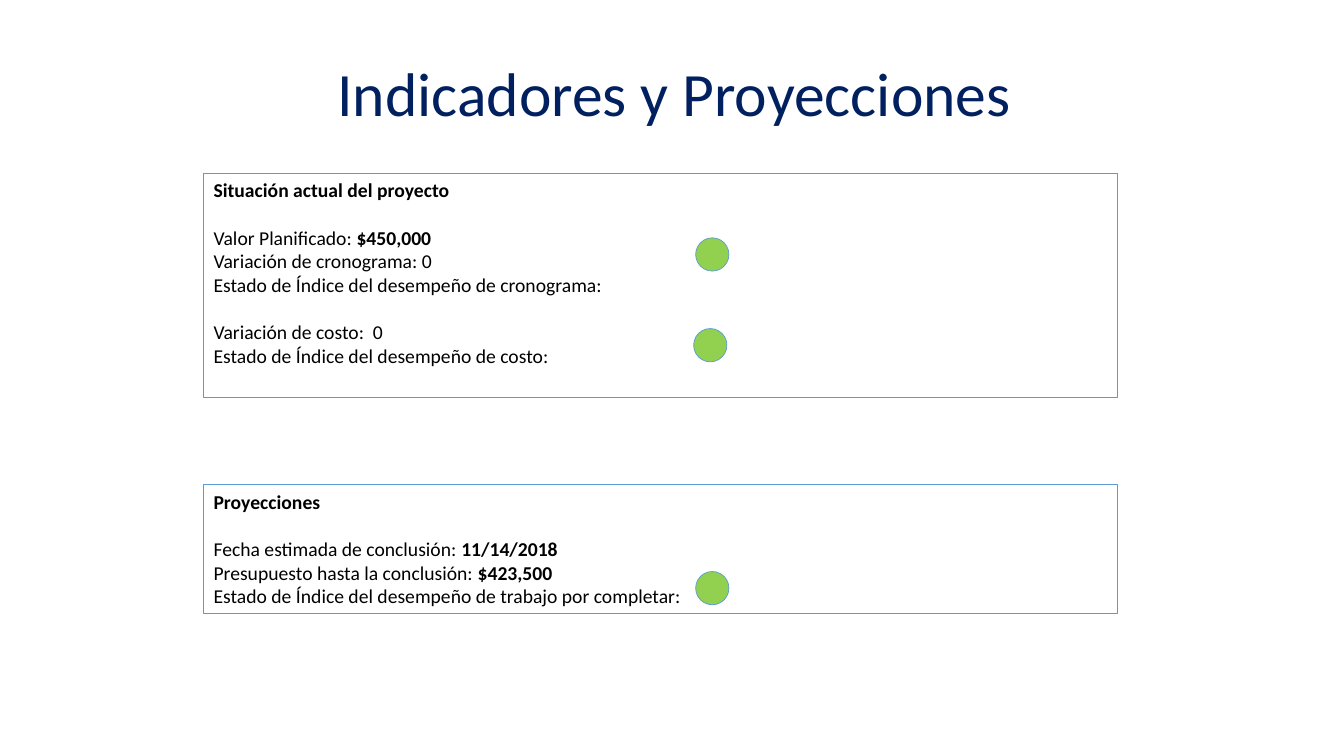
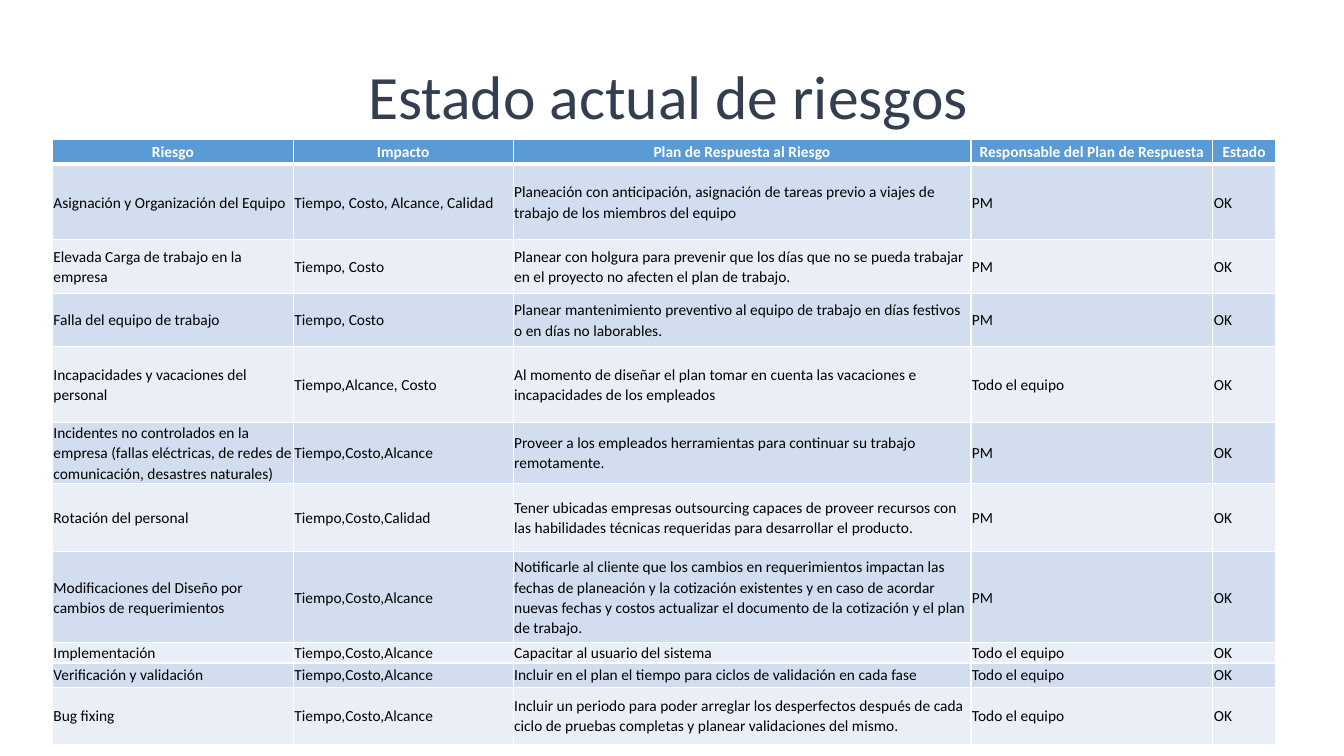
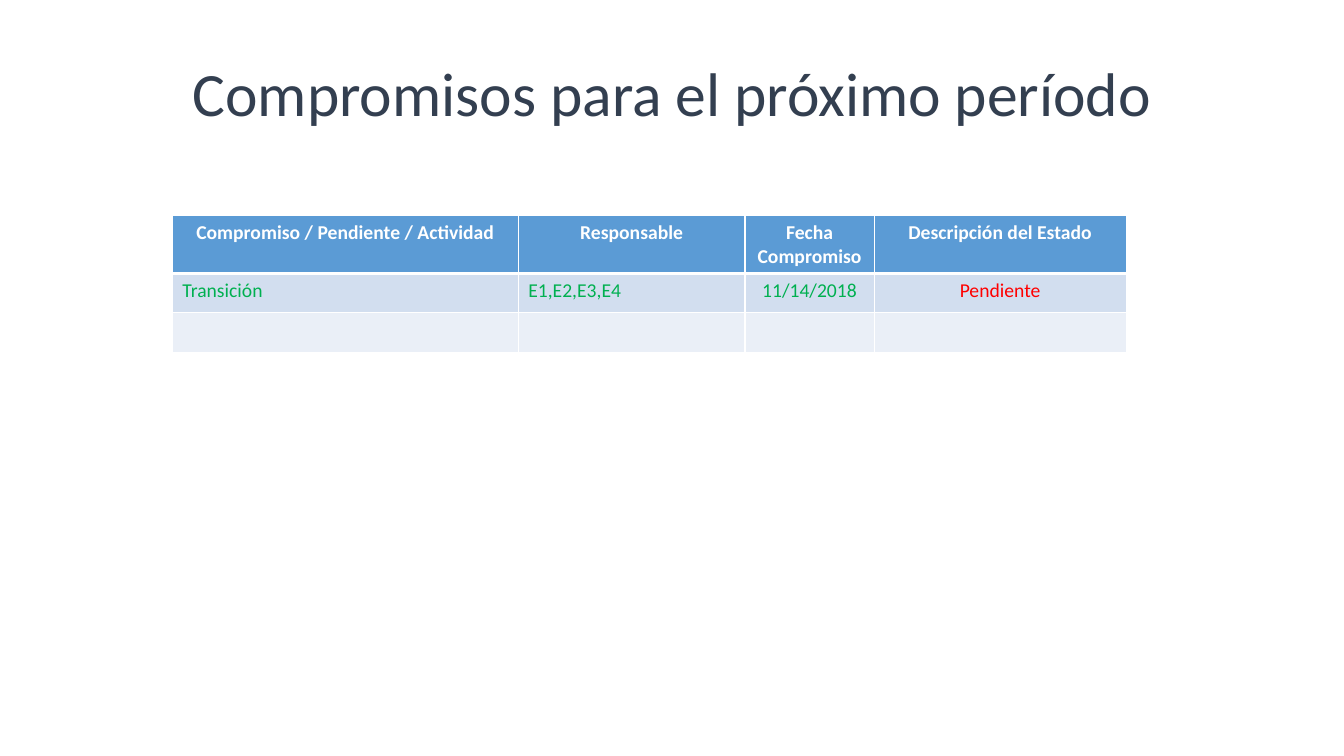
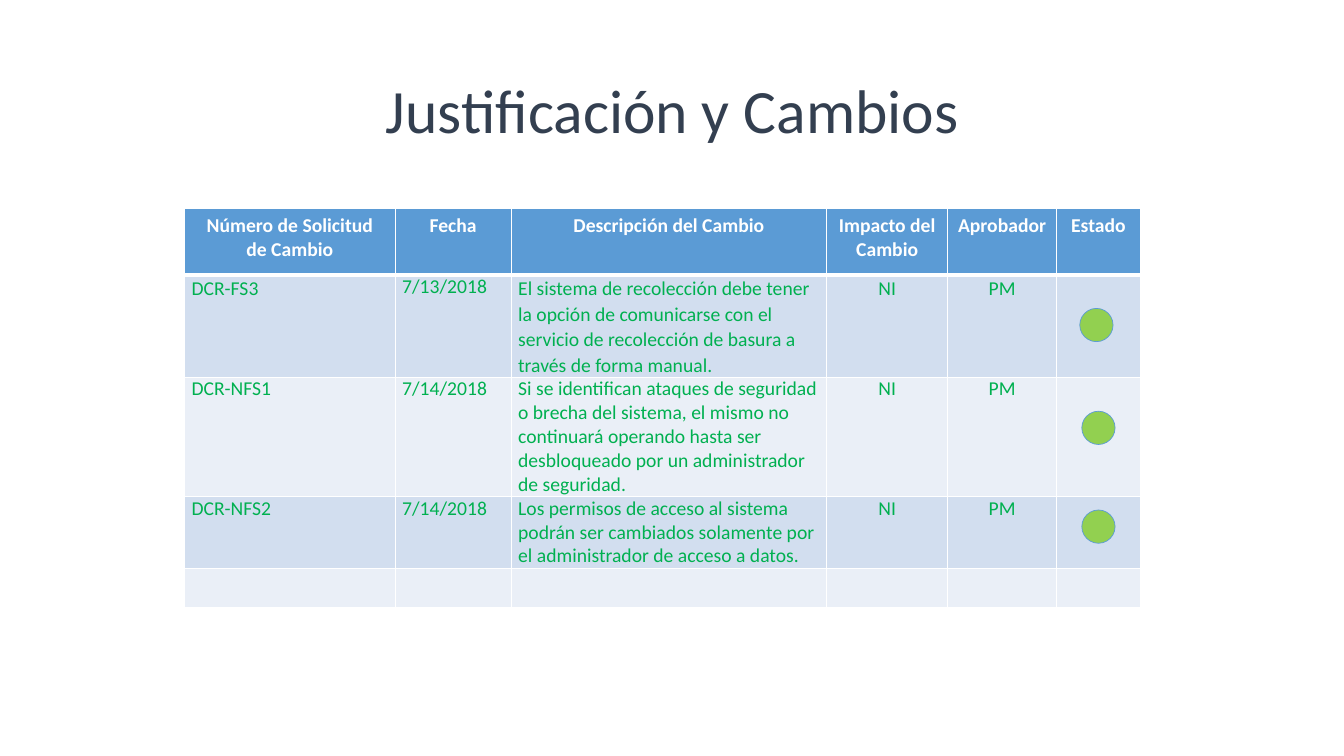
from dataclasses import dataclass

from lxml import etree
from pptx import Presentation
from pptx.dml.color import RGBColor
from pptx.enum.shapes import MSO_SHAPE as Shape
from pptx.enum.text import MSO_ANCHOR as Anchor, MSO_AUTO_SIZE as AutoSize, PP_ALIGN as Align
from pptx.oxml.ns import qn
from pptx.util import Inches, Pt


@dataclass(frozen=True)
class Theme:
    font: str = "Calibri"
    navy: str = "002060"
    slate: str = "333F50"
    blue: str = "5B9BD5"
    bands: tuple = ("D2DEEF", "EAEFF7")
    white: str = "FFFFFF"
    black: str = "000000"
    done: str = "00B050"
    pending: str = "FF0000"
    light_green: str = "92D050"
    title_size: int = 44
    body_size: int = 14
    small_size: int = 11
    blank_line: int = 17
    dot: float = 0.33


THEME = Theme()
LEFT, CENTER = Align.LEFT, Align.CENTER

SITUATION = [
    ("Valor Planificado: ", "$450,000", True),
    ("Variación de cronograma: 0", "", False),
    ("Estado de Índice del desempeño de cronograma:", "", False),
    ("Variación de costo:  0", "", True),
    ("Estado de Índice del desempeño de costo:", "", False),
]
PROJECTIONS = [
    ("Fecha estimada de conclusión: ", "11/14/2018", True),
    ("Presupuesto hasta la conclusión: ", "$423,500", False),
    ("Estado de Índice del desempeño de trabajo por completar:", "", False),
]
RISKS = [
    ["Riesgo", "Impacto", "Plan de Respuesta al Riesgo", "Responsable del Plan de Respuesta", "Estado"],
    ["Asignación y Organización del Equipo", "Tiempo, Costo, Alcance, Calidad",
     "Planeación con anticipación, asignación de tareas previo a viajes de trabajo de los miembros del equipo",
     "PM", "OK"],
    ["Elevada Carga de trabajo en la empresa", "Tiempo, Costo",
     "Planear con holgura para prevenir que los días que no se pueda trabajar en el proyecto "
     "no afecten el plan de trabajo.", "PM", "OK"],
    ["Falla del equipo de trabajo", "Tiempo, Costo",
     "Planear mantenimiento preventivo al equipo de trabajo en días festivos o en días no laborables.",
     "PM", "OK"],
    ["Incapacidades y vacaciones del personal", "Tiempo,Alcance, Costo",
     "Al momento de diseñar el plan tomar en cuenta las vacaciones e incapacidades de los empleados",
     "Todo el equipo", "OK"],
    ["Incidentes no controlados en la empresa (fallas eléctricas, de redes de comunicación, "
     "desastres naturales)", "Tiempo,Costo,Alcance",
     "Proveer a los empleados herramientas para continuar su trabajo remotamente.", "PM", "OK"],
    ["Rotación del personal", "Tiempo,Costo,Calidad",
     "Tener ubicadas empresas outsourcing capaces de proveer recursos con las habilidades técnicas "
     "requeridas para desarrollar el producto.", "PM", "OK"],
    ["Modificaciones del Diseño por cambios de requerimientos", "Tiempo,Costo,Alcance",
     "Notificarle al cliente que los cambios en requerimientos impactan las fechas de planeación y la "
     "cotización existentes y en caso de acordar nuevas fechas y costos actualizar el documento de la "
     "cotización y el plan de trabajo.", "PM", "OK"],
    ["Implementación", "Tiempo,Costo,Alcance", "Capacitar al usuario del sistema", "Todo el equipo", "OK"],
    ["Verificación y validación", "Tiempo,Costo,Alcance",
     "Incluir en el plan el tiempo para ciclos de validación en cada fase", "Todo el equipo", "OK"],
    ["Bug fixing", "Tiempo,Costo,Alcance",
     "Incluir un periodo para poder arreglar los desperfectos después de cada ciclo de pruebas completas "
     "y planear validaciones del mismo.", "Todo el equipo", "OK"],
]
COMMITMENTS = [
    ["Compromiso / Pendiente / Actividad", "Responsable", "Fecha Compromiso", "Descripción del Estado"],
    ["Transición", "E1,E2,E3,E4", "11/14/2018", "Pendiente"],
    [""] * 4,
]
CHANGES = [
    ["Número de Solicitud de Cambio", "Fecha", "Descripción del Cambio", "Impacto del Cambio",
     "Aprobador", "Estado"],
    ["DCR-FS3", "7/13/2018",
     "El sistema de recolección debe tener la opción de comunicarse con el servicio de recolección "
     "de basura a través de forma manual.", "NI", "PM", ""],
    ["DCR-NFS1", "7/14/2018",
     "Si se identifican ataques de seguridad o brecha del sistema, el mismo no continuará operando "
     "hasta ser desbloqueado por un administrador de seguridad.", "NI", "PM", ""],
    ["DCR-NFS2", "7/14/2018",
     "Los permisos de acceso al sistema podrán ser cambiados solamente por el administrador de acceso "
     "a datos.", "NI", "PM", ""],
    [""] * 6,
]


def rgb(color):
    return RGBColor.from_string(color)


def write(paragraph, text, size=THEME.body_size, color=THEME.black, bold=False, align=LEFT,
          line_spacing=None, space_before=0):
    paragraph.alignment = align
    paragraph.space_before = Pt(space_before)
    if line_spacing:
        paragraph.line_spacing = line_spacing
    if not text:
        etree.SubElement(paragraph._p, qn("a:endParaRPr"), sz=str(size * 100))
        return
    run = paragraph.add_run()
    run.text = text
    run.font.name = THEME.font
    run.font.size = Pt(size)
    run.font.bold = bold
    run.font.color.rgb = rgb(color)


def add_titled_slide(deck, title, left, top, color=THEME.slate, bottom_inset=0.05):
    slide = deck.slides.add_slide(deck.slide_layouts[5])
    heading = slide.shapes.title
    heading.left, heading.top = Inches(left), Inches(top)
    heading.width, heading.height = Inches(11.5), Inches(1.45)
    frame = heading.text_frame
    frame.auto_size = AutoSize.NONE
    frame.word_wrap = True
    frame.vertical_anchor = Anchor.MIDDLE
    frame.margin_bottom = Inches(bottom_inset)
    write(frame.paragraphs[0], title, size=THEME.title_size, color=color, align=CENTER, line_spacing=0.9)
    return slide


def add_outlined(slide, kind, left, top, width, height, line_width):
    shape = slide.shapes.add_shape(kind, Inches(left), Inches(top), Inches(width), Inches(height))
    shape.shadow.inherit = False
    shape.fill.background()
    shape.line.color.rgb = rgb(THEME.blue)
    shape.line.width = Pt(line_width)
    return shape


def add_status_dots(slide, places):
    for left, top in places:
        dot = add_outlined(slide, Shape.OVAL, left, top, THEME.dot, THEME.dot, 0.5)
        dot.fill.solid()
        dot.fill.fore_color.rgb = rgb(THEME.light_green)


def add_summary_box(slide, top, height, heading, entries):
    frame = add_outlined(slide, Shape.RECTANGLE, 2.02, top, 9.06, height, 0.75).text_frame
    frame.word_wrap = True
    frame.vertical_anchor = Anchor.TOP
    write(frame.paragraphs[0], heading, bold=True)
    for label, value, starts_group in entries:
        paragraph = frame.add_paragraph()
        gap = THEME.blank_line if starts_group else 0
        write(paragraph, label, space_before=gap)
        if value:
            write(paragraph, value, bold=True, space_before=gap)


def set_borders(cell, top=1, bottom=1):
    properties = cell._tc.get_or_add_tcPr()
    for side, width in (("L", 1), ("R", 1), ("T", top), ("B", bottom)):
        border = etree.SubElement(properties, qn(f"a:ln{side}"), w=str(Pt(width)))
        fill = etree.SubElement(border, qn("a:solidFill"))
        etree.SubElement(fill, qn("a:srgbClr"), val=THEME.white)


def set_insets(cell, horizontal, vertical):
    cell.margin_left = cell.margin_right = Inches(horizontal)
    cell.margin_top = cell.margin_bottom = Inches(vertical)


def add_banded_table(slide, left, top, widths, heights, rows, aligns, size=THEME.body_size,
                     color=THEME.done, header_insets=(0.1, 0.05), insets=(0.1, 0.05),
                     anchor=Anchor.TOP, line_spacing=None, overrides=None):
    table = slide.shapes.add_table(len(rows), len(widths), Inches(left), Inches(top),
                                   Inches(sum(widths)), Inches(sum(heights))).table
    table.horz_banding = False
    for column, width in zip(table.columns, widths):
        column.width = Inches(width)
    for r, (row, height) in enumerate(zip(rows, heights)):
        table.rows[r].height = Inches(height)
        header = r == 0
        for c, text in enumerate(row):
            cell = table.cell(r, c)
            set_borders(cell, top=3 if r == 1 else 1, bottom=3 if header else 1)
            cell.fill.solid()
            cell.fill.fore_color.rgb = rgb(THEME.blue if header else THEME.bands[(r - 1) % 2])
            cell.vertical_anchor = anchor
            set_insets(cell, *(header_insets if header else insets))
            style = dict(size=size, color=THEME.white if header else color, bold=header,
                         align=CENTER if header else aligns[c], line_spacing=line_spacing)
            style.update((overrides or {}).get((r, c), {}))
            write(cell.text_frame.paragraphs[0], text, **style)


def add_indicators(deck):
    slide = add_titled_slide(deck, "Indicadores y Proyecciones", 0.94, 0.23, color=THEME.navy)
    add_summary_box(slide, 1.72, 2.22, "Situación actual del proyecto", SITUATION)
    add_summary_box(slide, 4.81, 1.28, "Proyecciones", PROJECTIONS)
    add_status_dots(slide, [(6.9, 2.36), (6.88, 3.26), (6.9, 5.67)])


def add_risks(deck):
    slide = add_titled_slide(deck, "Estado actual de riesgos", 0.88, 0.26)
    add_banded_table(slide, 0.52, 1.38, [2.39, 2.18, 4.54, 2.4, 0.62],
                     [0.25, 0.75, 0.53, 0.53, 0.75, 0.49, 0.68, 0.9, 0.16, 0.24, 0.57],
                     RISKS, [LEFT] * 5, size=THEME.small_size, color=THEME.black,
                     header_insets=(0.01, 0), insets=(0.01, 0), anchor=Anchor.MIDDLE, line_spacing=1.07)


def add_commitments(deck):
    slide = add_titled_slide(deck, "Compromisos para el próximo período", 0.92, 0.4, bottom_inset=0.38)
    add_banded_table(slide, 1.71, 2.14, [3.43, 2.25, 1.28, 2.5], [0.39] * 3, COMMITMENTS,
                     [LEFT, LEFT, CENTER, CENTER], overrides={(1, 3): {"color": THEME.pending}})


def add_changes(deck):
    slide = add_titled_slide(deck, "Justificación y Cambios", 0.92, 0.4)
    add_banded_table(slide, 1.83, 2.07, [2.09, 1.15, 3.13, 1.2, 1.08, 0.83], [0.66] + [0.39] * 4,
                     CHANGES, [LEFT] * 3 + [CENTER] * 3, insets=(0.07, 0),
                     overrides={(1, c): {"line_spacing": 1.07} for c in (0, 2, 3, 4)})
    add_status_dots(slide, [(10.71, 3.06), (10.73, 4.08), (10.73, 5.06)])


def main():
    deck = Presentation()
    deck.slide_width, deck.slide_height = Inches(13.33), Inches(7.5)
    add_indicators(deck)
    add_risks(deck)
    add_commitments(deck)
    add_changes(deck)
    deck.save("out.pptx")


if __name__ == "__main__":
    main()
